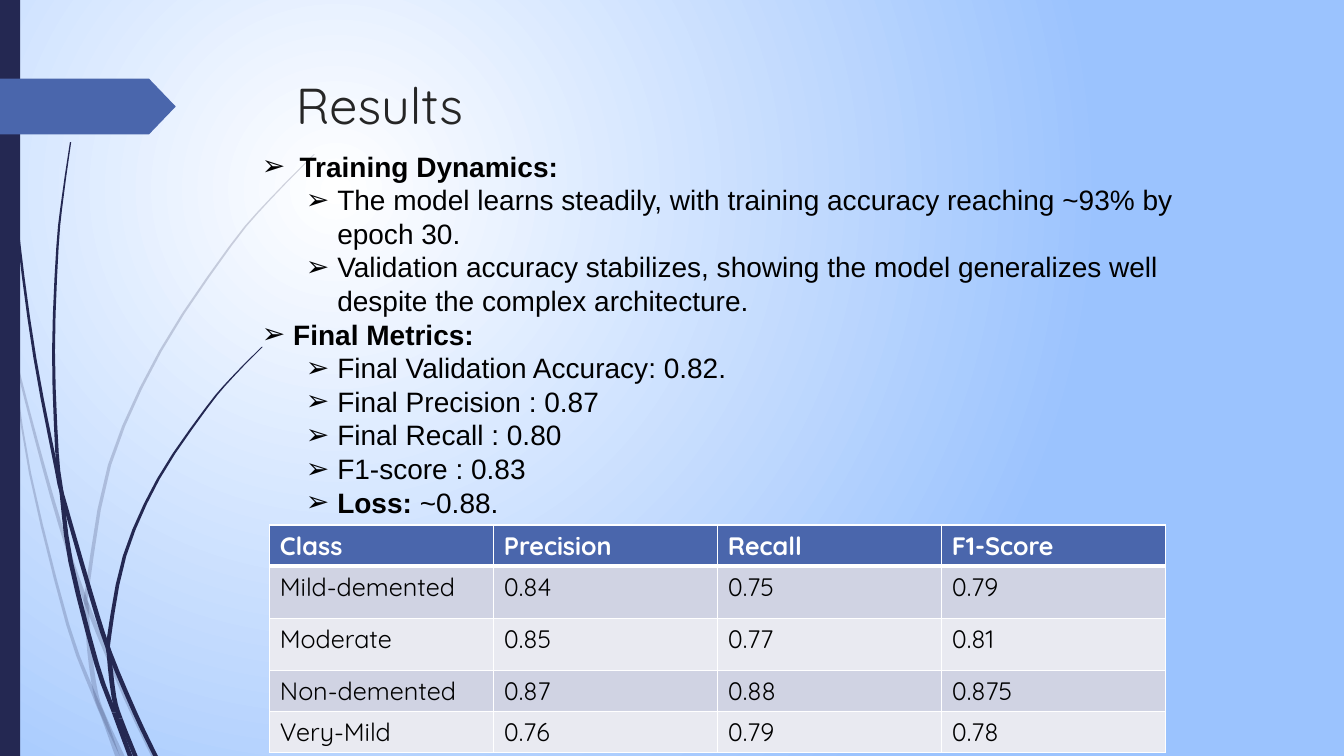
from lxml import etree
from pptx import Presentation
from pptx.dml.color import RGBColor
from pptx.enum import shapes, text
from pptx.oxml import parse_xml
from pptx.oxml.ns import nsdecls, qn
from pptx.util import Cm, Pt

# Content
TITLE = "Results"
# Each line: level, then (text, bold) runs
FINDINGS = [
    (0, [("Training Dynamics:", True)]),
    (1, [("The model learns steadily, with training accuracy reaching ~93% by epoch 30.", False)]),
    (1, [("Validation accuracy stabilizes, showing the model generalizes well "
          "despite the complex architecture.", False)]),
    (0, [("Final Metrics:", True)]),
    (1, [("Final Validation Accuracy: 0.82.", False)]),
    (1, [("Final Precision : 0.87", False)]),
    (1, [("Final Recall : 0.80", False)]),
    (1, [("F1-score : 0.83", False)]),
    (1, [("Loss:", True), (" ~0.88.", False)]),
]
METRICS = [
    ("Class", "Precision", "Recall", "F1-Score"),
    ("Mild-demented", "0.84", "0.75", "0.79"),
    ("Moderate", "0.85", "0.77", "0.81"),
    ("Non-demented", "0.87", "0.88", "0.875"),
    ("Very-Mild", "0.76", "0.79", "0.78"),
]
ROW_HEIGHTS = [1.03, 1.32, 1.32, 1.03, 1.03]

# Grass blades: centre line in cm from tip to root, and the points where a new piece starts
PALE_BLADES = [
    ([(0, 7.3), (0.33, 8.8), (0.91, 11.07), (1.52, 13.23), (2.18, 15.2), (3.18, 17.6),
      (3.87, 19.05)], [1, 4]),
    ([(0.3, 8.9), (0.76, 11.94), (1.71, 15.75), (2.36, 17.48), (2.62, 18.1), (2.96, 19.05)], [4]),
    ([(7.92, 3.89), (6.81, 5.02), (5.8, 6.21), (4.04, 8.85), (2.76, 11.72), (2.2, 14.83),
      (2.18, 15.24), (2.26, 16.41), (2.41, 17.45), (2.62, 18.06), (3.08, 19.05)], [5, 6, 9]),
]
DARK_BLADES = [
    ([(0.09, 0), (0.19, 2.79), (0.46, 5.92), (0.88, 9.02), (1.42, 11.81), (1.58, 12.5),
      (2.3, 15.01), (2.74, 16.38), (3.4, 17.96), (3.92, 19.05)], [5, 7]),
    ([(1.78, 3.58), (1.59, 4.9), (1.45, 6.22), (1.35, 8.86), (1.44, 11.43), (1.55, 12.4),
      (1.78, 14.15), (2.43, 16.71), (2.88, 17.96), (3.28, 19.05)], [4, 5, 8]),
    ([(6.61, 8.74), (5.87, 9.49), (5.19, 10.3), (3.99, 12.07), (3.14, 14.01), (2.75, 16.05),
      (2.75, 16.5), (2.87, 17.55), (3.03, 18.1), (3.41, 19.05)], [5, 6, 8]),
]
CURVE_STEPS = 3

THEME = {
    "navy": "242852", "blue": "4A66AC", "sky": "9BC3FE", "white": "FFFFFF",
    "black": "000000", "title": "262626", "bands": ("D0D3E3", "E9EAF1"),
    "head_font": "Quicksand", "body_font": "Arial",
    "title_size": 36, "body_size": 20, "table_size": 18, "line_pitch": 24,
}


def style(r, font, size, color, bold=False):
    r.font.name, r.font.size, r.font.bold = font, Pt(size), bold
    r.font.color.rgb = RGBColor.from_string(color)


def paint(sp, color, opacity=100):
    sp.shadow.inherit = False
    sp.fill.solid()
    sp.fill.fore_color.rgb = RGBColor.from_string(color)
    sp.line.fill.background()
    if opacity < 100:
        clr = sp.fill._xPr.find(qn("a:solidFill"))[0]
        etree.SubElement(clr, qn("a:alpha"), val=str(opacity * 1000))


def smooth_line(points):
    """Catmull-Rom curve through the points."""
    pts = [points[0], *points, points[-1]]
    curve = []
    for a, b, c, d in zip(pts, pts[1:], pts[2:], pts[3:]):
        for i in range(CURVE_STEPS):
            t = i / CURVE_STEPS
            curve.append(tuple(
                (2 * q + (r - p) * t + (2 * p - 5 * q + 4 * r - s) * t ** 2
                 + (3 * q - p - 3 * r + s) * t ** 3) / 2
                for p, q, r, s in zip(a, b, c, d)))
    return curve + [points[-1]]


def add_blade(slide, points, cuts, color, opacity, tip=0.03, root=0.12):
    line = smooth_line(points)
    halves = [(tip + (root - tip) * min(1, 1.5 * i / len(line))) / 2 for i in range(len(line))]
    left = [(Cm(x - h), Cm(y)) for (x, y), h in zip(line, halves)]
    right = [(Cm(x + h), Cm(y)) for (x, y), h in zip(line, halves)]
    ends = [0, *cuts, len(points) - 1]
    for first, last in zip(ends, ends[1:]):
        piece = slice(first * CURVE_STEPS, last * CURVE_STEPS + 1)
        outline = left[piece] + right[piece][::-1]
        fb = slide.shapes.build_freeform(*outline[0])
        fb.add_line_segments(outline[1:], close=True)
        paint(fb.convert_to_shape(), color, opacity)


def add_text_box(slide, left, top, width, height, anchor):
    tf = slide.shapes.add_textbox(Cm(left), Cm(top), Cm(width), Cm(height)).text_frame
    tf.word_wrap, tf.vertical_anchor = True, anchor
    return tf


def add_bullet(p, margin, hanging):
    pPr = p._p.get_or_add_pPr()
    pPr.set("marL", str(Cm(margin)))
    pPr.set("indent", str(-Cm(hanging)))
    etree.SubElement(pPr, qn("a:buFont"), typeface=THEME["body_font"])
    etree.SubElement(pPr, qn("a:buChar"), char="➢")


def add_borders(cell, widths):
    tcPr = cell._tc.get_or_add_tcPr()
    for i, (side, width) in enumerate(zip("LRTB", widths)):
        tcPr.insert(i, parse_xml(
            f'<a:ln{side} {nsdecls("a")} w="{Pt(width)}"><a:solidFill>'
            f'<a:srgbClr val="{THEME["white"]}"/></a:solidFill></a:ln{side}>'))


def main():
    prs = Presentation()
    prs.slide_width, prs.slide_height = Cm(33.87), Cm(19.05)
    slide = prs.slides.add_slide(prs.slide_layouts[6])

    # Radial background
    fill = slide.background.fill
    fill.gradient()
    for stop, color, position in zip(fill.gradient_stops, (THEME["white"], THEME["sky"]), (0, 1)):
        stop.color.rgb = RGBColor.from_string(color)
        stop.position = position
    grad = fill._xPr.find(qn("a:gradFill"))
    grad.replace(grad.find(qn("a:lin")), parse_xml(
        f'<a:path {nsdecls("a")} path="circle">'
        '<a:fillToRect l="50000" t="50000" r="100000" b="100000"/></a:path>'))

    # Grass, side bar and arrow tab
    for blades, opacity in ((PALE_BLADES, 20), (DARK_BLADES, 100)):
        for points, cuts in blades:
            add_blade(slide, points, cuts, THEME["navy"], opacity)
    kind = shapes.MSO_SHAPE
    bar = slide.shapes.add_shape(kind.RECTANGLE, 0, 0, Cm(0.51), prs.slide_height)
    paint(bar, THEME["navy"])
    tab = slide.shapes.add_shape(kind.PENTAGON, 0, Cm(1.98), Cm(4.43), Cm(1.41))
    tab.adjustments[0] = 0.48
    paint(tab, THEME["blue"])

    # Title
    tf = add_text_box(slide, 7.21, 1.75, 24.77, 3.56, text.MSO_ANCHOR.TOP)
    tf.text = TITLE
    style(tf.paragraphs[0].runs[0], THEME["head_font"], THEME["title_size"], THEME["title"])

    # Findings
    tf = add_text_box(slide, 6.35, 3.59, 23.5, 9.65, text.MSO_ANCHOR.MIDDLE)
    for i, (level, runs) in enumerate(FINDINGS):
        p = tf.add_paragraph() if i else tf.paragraphs[0]
        p.level = level
        if level:
            add_bullet(p, 1.9, 0.79)
        else:
            indent = 0.79 if i else 0.95
            add_bullet(p, indent, indent)
        p.line_spacing = Pt(THEME["line_pitch"])
        for words, bold in runs:
            r = p.add_run()
            r.text = words
            style(r, THEME["body_font"], THEME["body_size"], THEME["black"], bold)

    # Metrics table
    table = slide.shapes.add_table(len(METRICS), len(METRICS[0]), Cm(6.8), Cm(13.23),
                                   Cm(22.58), Cm(sum(ROW_HEIGHTS))).table
    for i, (values, height) in enumerate(zip(METRICS, ROW_HEIGHTS)):
        table.rows[i].height = Cm(height)
        header = i == 0
        color = THEME["blue"] if header else THEME["bands"][(i - 1) % 2]
        for j, value in enumerate(values):
            cell = table.cell(i, j)
            cell.text = value
            style(cell.text_frame.paragraphs[0].runs[0], THEME["head_font"], THEME["table_size"],
                  THEME["white"] if header else THEME["black"], header)
            cell.fill.solid()
            cell.fill.fore_color.rgb = RGBColor.from_string(color)
            add_borders(cell, (1, 1, 3 if i == 1 else 1, 3 if header else 1))

    prs.save("out.pptx")


if __name__ == "__main__":
    main()
